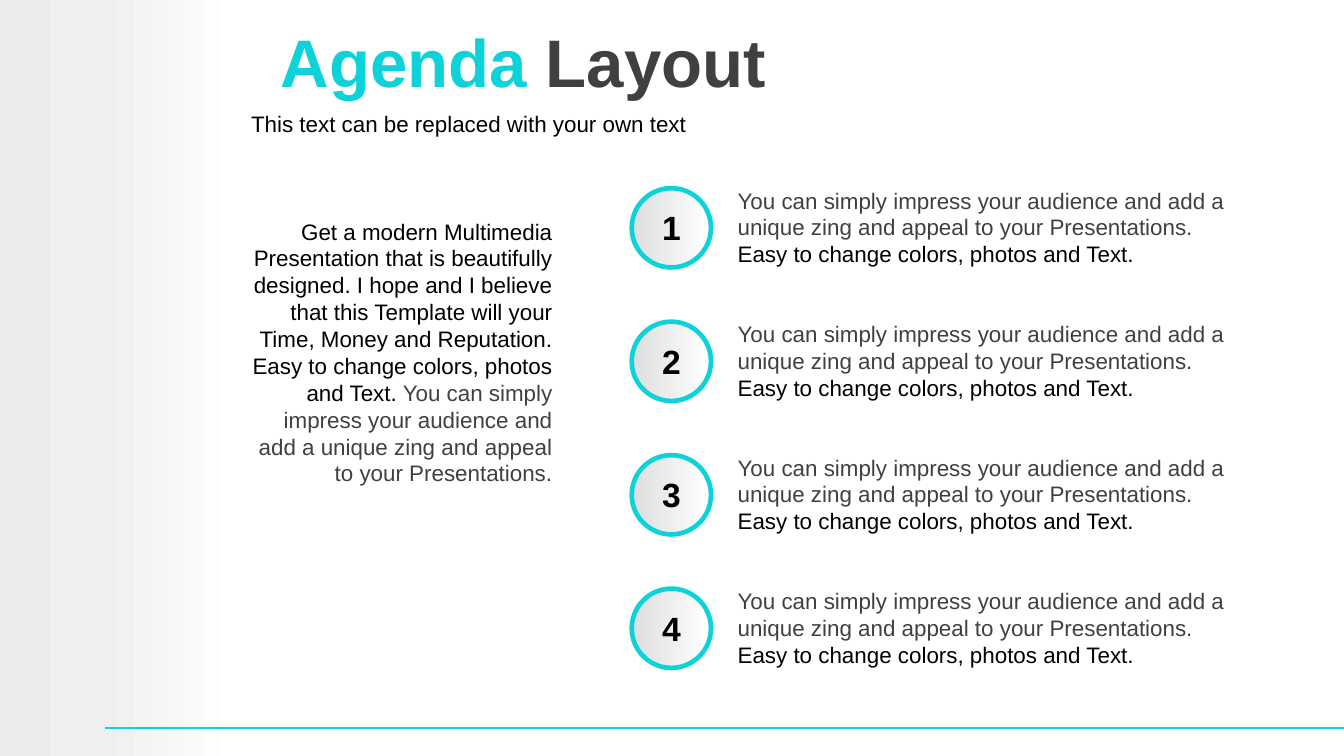
from copy import deepcopy

from lxml import etree
from pptx import Presentation
from pptx.dml.color import RGBColor
from pptx.enum.shapes import MSO_CONNECTOR, MSO_SHAPE
from pptx.enum.text import MSO_ANCHOR, MSO_AUTO_SIZE, PP_ALIGN
from pptx.oxml.ns import qn
from pptx.util import Inches, Pt

RECTANGLE, OVAL = MSO_SHAPE.RECTANGLE, MSO_SHAPE.OVAL
STRAIGHT = MSO_CONNECTOR.STRAIGHT
LEFT, CENTER, RIGHT = PP_ALIGN.LEFT, PP_ALIGN.CENTER, PP_ALIGN.RIGHT
TOP, MIDDLE = MSO_ANCHOR.TOP, MSO_ANCHOR.MIDDLE
NO_AUTOFIT = MSO_AUTO_SIZE.NONE

WIDTH = 10
HEIGHT = WIDTH * 9 / 16
ACCENT, GRAY, BLACK = "0DD2D9", "404040", "000000"
PITCH_TEXT = ("You can simply impress your audience and add a unique zing "
              "and appeal to your Presentations.")
EASY_TEXT = "Easy to change colors, photos and Text."
INTRO_TEXT = ("Get a modern Multimedia Presentation that is beautifully "
              "designed. I hope and I believe that this Template will your "
              "Time, Money and Reputation. " + EASY_TEXT)


def rgb(value):
    return RGBColor.from_string(value)


def place(shape, left, top, width, height):
    shape.left, shape.top = Inches(left), Inches(top)
    shape.width, shape.height = Inches(width), Inches(height)


def write(shape, runs, size=12, bold=False, align=LEFT, anchor=TOP,
          inset=0.1):
    """Fill a shape with one paragraph of (text, colour) runs."""
    frame = shape.text_frame
    frame.word_wrap = True
    frame.auto_size = NO_AUTOFIT
    frame.vertical_anchor = anchor
    frame.margin_left = Inches(inset)
    paragraph = frame.paragraphs[0]
    paragraph.alignment = align
    for text, color in runs:
        run = paragraph.add_run()
        run.text = text
        run.font.name = "Arial"
        run.font.size = Pt(size)
        run.font.bold = bold
        run.font.color.rgb = rgb(color)


def add_text(shapes, box, runs, **style):
    write(shapes.add_textbox(*map(Inches, box)), runs, **style)


def add_gradient_shape(shapes, kind, box, stops):
    """Add a shape shaded from left to right by (position, colour) stops."""
    shape = shapes.add_shape(kind, *map(Inches, box))
    shape.shadow.inherit = False
    fill = shape.fill
    fill.gradient()
    fill.gradient_angle = 0
    stop_list = shape._element.spPr.find(qn("a:gradFill")).find(qn("a:gsLst"))
    while len(stop_list) < len(stops):
        stop_list.append(deepcopy(stop_list[-1]))
    for stop, (position, color) in zip(fill.gradient_stops, stops):
        stop.position = position
        stop.color.rgb = rgb(color)
    return shape


def add_backdrop(slide, left, top, width, height):
    panel = add_gradient_shape(
        slide.shapes, RECTANGLE, (left, top, 1.77, height),
        [(0, "EBEBEB"), (0.42, "EFEFEF"), (1, "FFFFFF")])
    panel.line.fill.background()
    rule_y = Inches(top + 5.42)
    rule = slide.shapes.add_connector(
        STRAIGHT, Inches(left + 0.78), rule_y, Inches(left + width), rule_y)
    rule.line.color.rgb = rgb(ACCENT)
    rule.line.width = Pt(1)
    etree.SubElement(rule._element.spPr, qn("a:effectLst"))


def add_heading(slide, left, top, width):
    title = slide.shapes.title
    place(title, left, top, width, 0.85)
    write(title, [("Agenda ", ACCENT), ("Layout", GRAY)], size=36, bold=True,
          anchor=MIDDLE, inset=0.36)
    add_text(slide.shapes, (left + 0.04, top + 0.74, width - 0.04, 0.29),
             [("This text can be replaced with your own text", BLACK)])


def add_agenda_item(slide, number, left, top, width, height):
    badge = slide.shapes.add_group_shape()
    circle = add_gradient_shape(
        badge.shapes, OVAL, (left, top + 0.06, 0.59, 0.59),
        [(0, "DEDEDE"), (1, "FFFFFF")])
    circle.line.color.rgb = rgb(ACCENT)
    circle.line.width = Pt(2.5)
    add_text(badge.shapes, (left + 0.1, top + 0.15, 0.39, 0.4),
             [(str(number), BLACK)], size=18, bold=True, align=CENTER,
             anchor=MIDDLE)
    add_text(slide.shapes, (left + 0.69, top, width - 0.69, height),
             [(PITCH_TEXT + " ", GRAY), (EASY_TEXT, BLACK)])


def add_agenda(slide, left, top, width, height, count=4):
    item_height = 0.71
    step = (height - item_height) / (count - 1)
    for index in range(count):
        add_agenda_item(slide, index + 1, left, top + index * step, width,
                        item_height)


def main():
    deck = Presentation()
    deck.slide_width, deck.slide_height = Inches(WIDTH), Inches(HEIGHT)
    slide = deck.slides.add_slide(deck.slide_layouts[5])
    add_backdrop(slide, 0, 0, WIDTH, HEIGHT)
    add_heading(slide, 1.73, 0.03, 8.27)
    add_text(slide.shapes, (1.69, 1.57, 2.52, 2.12),
             [(INTRO_TEXT, BLACK), (" " + PITCH_TEXT, GRAY)], align=RIGHT)
    add_agenda(slide, 4.7, 1.34, 4.52, 3.69)
    deck.save("out.pptx")


if __name__ == "__main__":
    main()
